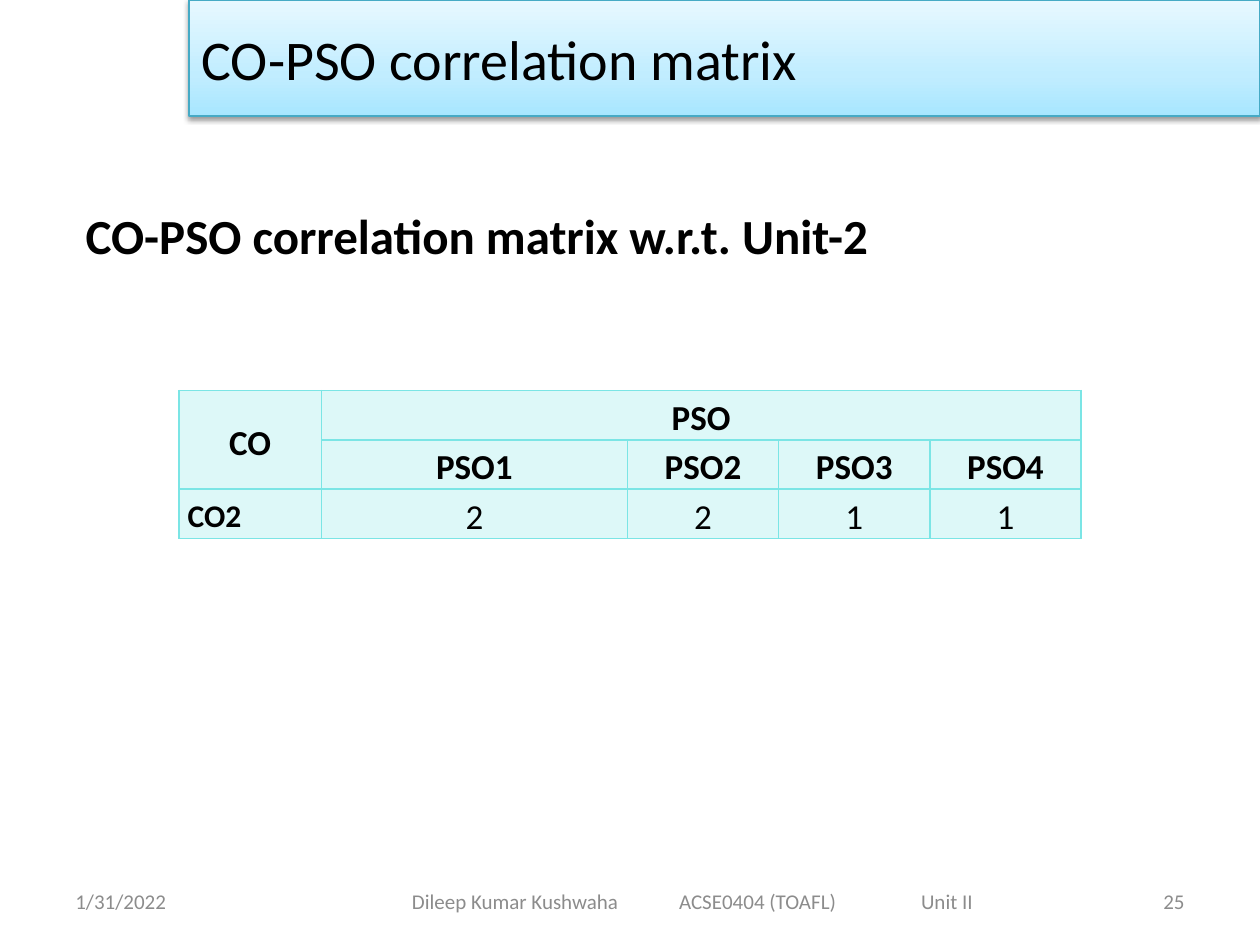
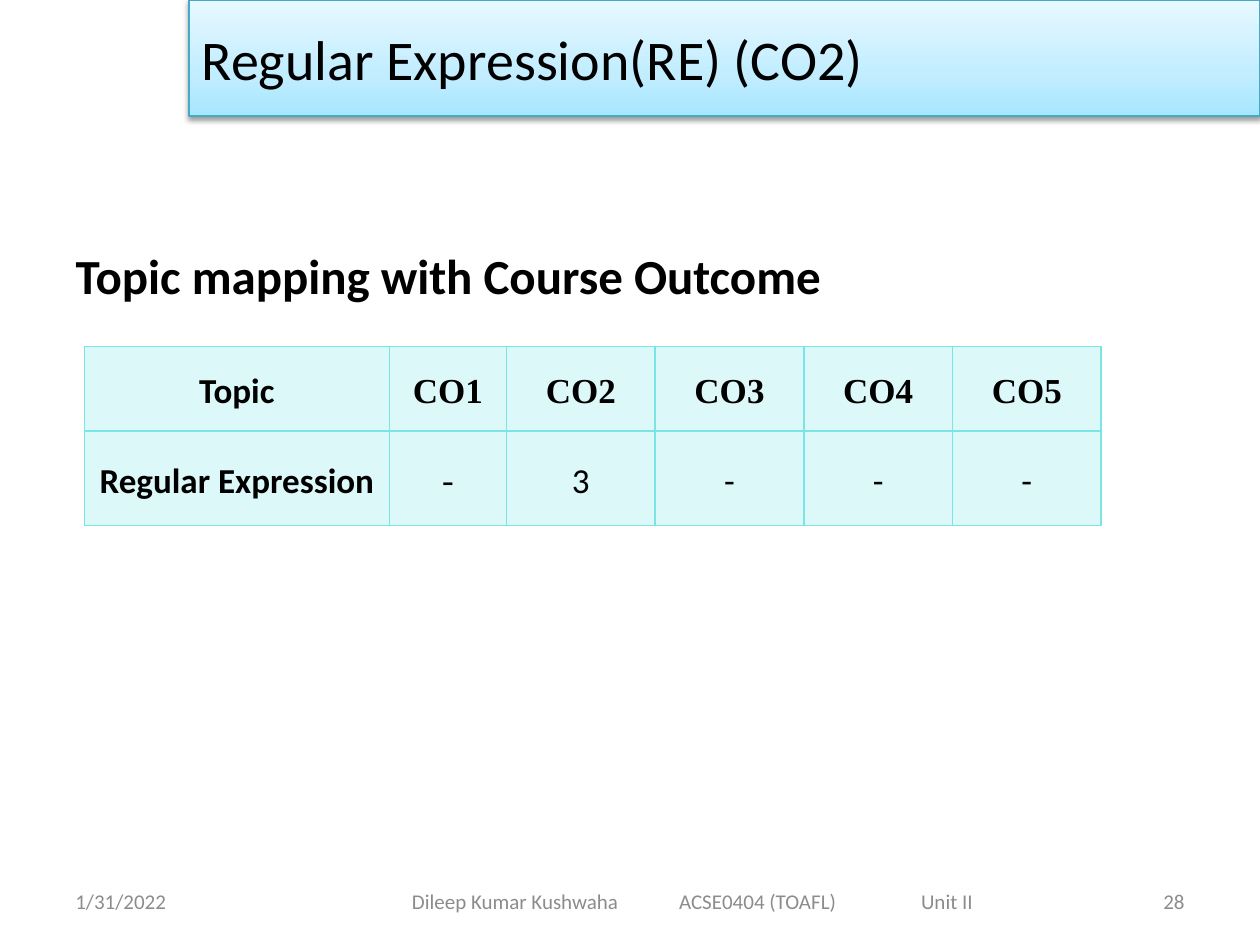
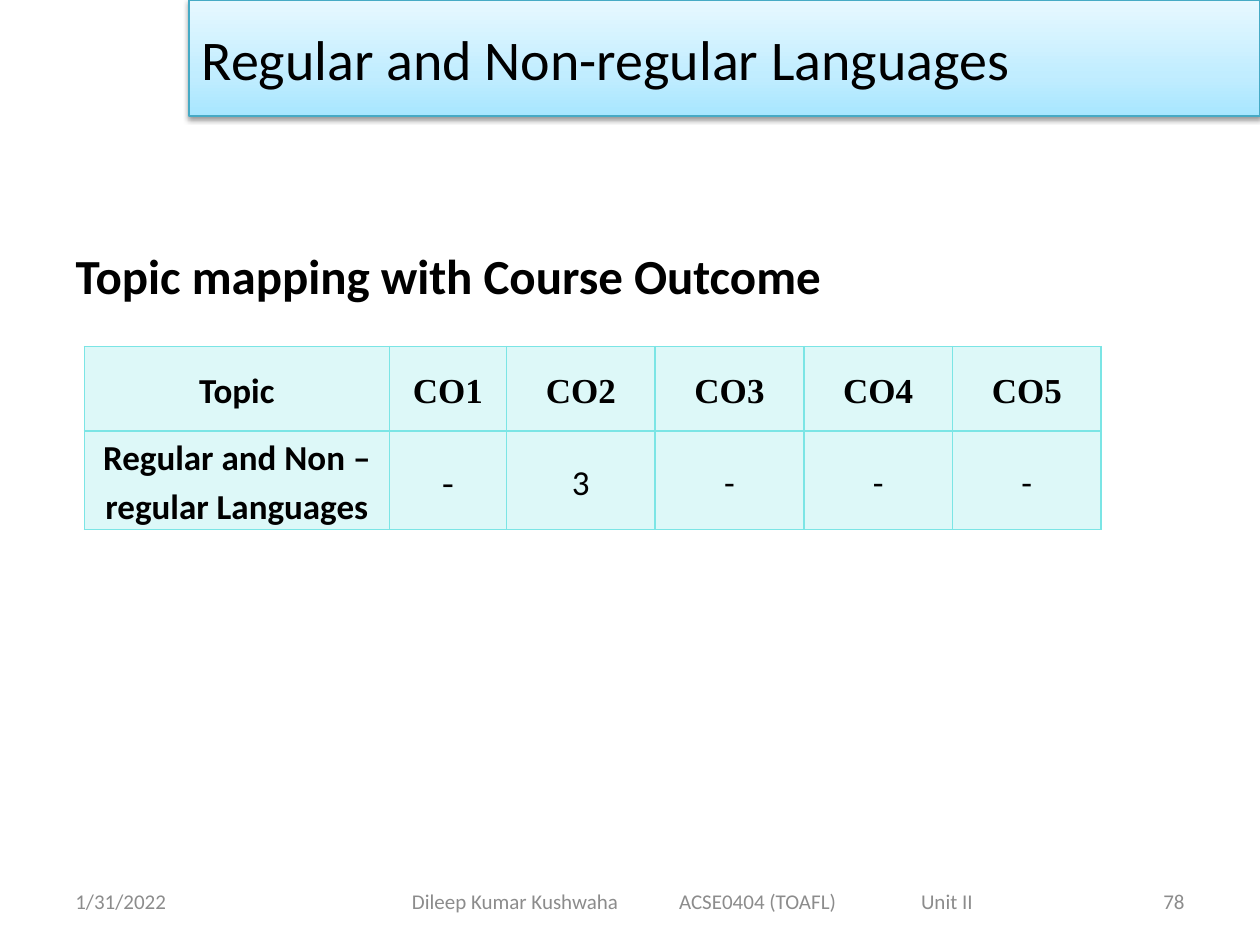
from lxml.etree import SubElement
from pptx import Presentation
from pptx.dml.color import RGBColor
from pptx.enum.text import MSO_ANCHOR as Anchor, MSO_AUTO_SIZE as AutoSize, PP_ALIGN as Align
from pptx.oxml import parse_xml
from pptx.oxml.ns import nsdecls, qn
from pptx.util import Inches, Pt

SANS, SERIF = "Calibri", "Times New Roman"
BLACK, GREY, AQUA, BAND_EDGE = "000000", "8C8C8C", "7BE5E5", "46AAC5"
BAND_STOPS = [(0, "A7E6FF"), (35, "C1EDFF"), (100, "E7F8FF")]
DATE = "1/31/2022"
COURSE = ["Dileep Kumar Kushwaha", "ACSE0404 (TOAFL)", "Unit II"]
COURSE_TABS = [2.12, 4.04]


def topic_mapping(title, page, topic):
    """Slide content for a topic that maps to the second course outcome only."""
    return {
        "title": title,
        "page": page,
        "heading": "Topic mapping with Course Outcome",
        "heading_at": (0.5, 1.9, 9, 0.57),
        "rows": [["Topic"] + [f"CO{n}" for n in range(1, 6)],
                 [topic, "-", "3", "-", "-", "-"]],
        "table_at": (0.67, 2.75),
        "widths": [2.42, 0.93] + [1.18] * 4,
        "heights": [0.67, 0.75],
        "merges": [],
        "header_rows": 1,
        "serif": [(0, col) for col in range(1, 6)] + [(1, 1)],
        "label_style": (20, Align.CENTER),
    }


SLIDES = [
    {
        "title": "CO-PSO correlation matrix",
        "page": 25,
        "heading": "CO-PSO correlation matrix w.r.t. Unit-2",
        "heading_at": (0.58, 1.58, 6.8, 0.57),
        "rows": [["CO", "PSO", "", "", ""],
                 ["", "PSO1", "PSO2", "PSO3", "PSO4"],
                 ["CO2", "2", "2", "1", "1"]],
        "table_at": (1.42, 3.1),
        "widths": [1.13, 2.43] + [1.2] * 3,
        "heights": [0.38] * 3,
        "merges": [((0, 0), (1, 0)), ((0, 1), (0, 4))],
        "header_rows": 2,
        "serif": [],
        "label_style": (18, Align.LEFT),
    },
    topic_mapping("Regular Expression(RE) (CO2)", 28, "Regular Expression"),
    topic_mapping("Regular and Non-regular Languages", 78, "Regular and Non –regular Languages"),
]


def rgb(color):
    return RGBColor.from_string(color)


def place(shape, left, top, width, height):
    shape.left, shape.top = Inches(left), Inches(top)
    shape.width, shape.height = Inches(width), Inches(height)


def style(paragraph, size, color=BLACK, bold=False, font=SANS, align=Align.LEFT):
    paragraph.alignment = align
    paragraph.font.size, paragraph.font.bold = Pt(size), bold
    paragraph.font.name = font
    paragraph.font.color.rgb = rgb(color)


def add_title_band(slide, text):
    band = slide.shapes.title
    place(band, 1.5, 0, 8.5, 0.92)
    stops = "".join(f'<a:gs pos="{pos * 1000}"><a:srgbClr val="{color}"/></a:gs>'
                    for pos, color in BAND_STOPS)
    properties = band.element.spPr
    properties.append(parse_xml(
        f'<a:gradFill {nsdecls("a")} rotWithShape="1"><a:gsLst>{stops}</a:gsLst>'
        '<a:lin ang="16200000" scaled="1"/></a:gradFill>'))
    band.line.color.rgb = rgb(BAND_EDGE)
    band.line.width = Pt(0.75)
    properties.append(parse_xml(
        f'<a:effectLst {nsdecls("a")}><a:outerShdw blurRad="{Pt(3.1)}" dist="{Pt(1.6)}" '
        'dir="5400000" rotWithShape="0"><a:srgbClr val="000000"><a:alpha val="38000"/>'
        '</a:srgbClr></a:outerShdw></a:effectLst>'))
    frame = band.text_frame
    frame.text = text
    frame.vertical_anchor = Anchor.MIDDLE
    style(frame.paragraphs[0], 32)


def add_heading(slide, text, box):
    heading = slide.placeholders[1]
    place(heading, *box)
    frame = heading.text_frame
    frame.text = text
    frame.auto_size = AutoSize.NONE
    paragraph = frame.paragraphs[0]
    paragraph.space_before = Pt(0)
    bullet_free = paragraph._p.get_or_add_pPr()
    bullet_free.set("marL", "0")
    bullet_free.set("indent", "0")
    SubElement(bullet_free, qn("a:buNone"))
    style(paragraph, 28, bold=True)


def add_footer_part(slide, text, left, width, align=Align.LEFT, inset=0.1, tabs=()):
    box = slide.shapes.add_textbox(Inches(left), Inches(6.95), Inches(width), Inches(0.4))
    frame = box.text_frame
    frame.word_wrap = True
    frame.margin_left = Inches(inset)
    frame.vertical_anchor = Anchor.MIDDLE
    frame.text = text
    paragraph = frame.paragraphs[0]
    if tabs:
        tab_list = SubElement(paragraph._p.get_or_add_pPr(), qn("a:tabLst"))
        for tab in tabs:
            SubElement(tab_list, qn("a:tab"), pos=str(Inches(tab)), algn="l")
    style(paragraph, 12, GREY, align=align)


def paint_cell(cell):
    """Give the cell a quarter-strength aqua fill and aqua borders."""
    cell.fill.solid()
    cell.fill.fore_color.rgb = rgb(AQUA)
    properties = cell._tc.get_or_add_tcPr()
    SubElement(properties.find(".//" + qn("a:srgbClr")), qn("a:alpha"), val="25000")
    for index, side in enumerate("LRTB"):
        properties.insert(index, parse_xml(
            f'<a:ln{side} {nsdecls("a")} w="{Pt(1)}"><a:solidFill>'
            f'<a:srgbClr val="{AQUA}"/></a:solidFill></a:ln{side}>'))


def add_matrix(slide, content):
    rows, widths, heights = content["rows"], content["widths"], content["heights"]
    left, top = content["table_at"]
    table = slide.shapes.add_table(len(rows), len(widths), Inches(left), Inches(top),
                                   Inches(sum(widths)), Inches(sum(heights))).table
    table.first_row = table.horz_banding = False
    for column, width in zip(table.columns, widths):
        column.width = Inches(width)
    for row, height in zip(table.rows, heights):
        row.height = Inches(height)
    for start, end in content["merges"]:
        table.cell(*start).merge(table.cell(*end))

    for r, row in enumerate(rows):
        for c, text in enumerate(row):
            cell = table.cell(r, c)
            paint_cell(cell)
            cell.margin_left = cell.margin_right = Inches(0.07)
            cell.margin_top = cell.margin_bottom = 0
            cell.vertical_anchor = Anchor.MIDDLE
            is_header = r < content["header_rows"]
            is_label = c == 0 and not is_header
            size, align = content["label_style"] if is_label else (20, Align.CENTER)
            cell.text_frame.text = text
            paragraph = cell.text_frame.paragraphs[0]
            paragraph.line_spacing = 1.15
            style(paragraph, size, bold=is_header or is_label, align=align,
                  font=SERIF if (r, c) in content["serif"] else SANS)


def main():
    deck = Presentation()
    deck.slide_width, deck.slide_height = Inches(10), Inches(7.5)
    for content in SLIDES:
        slide = deck.slides.add_slide(deck.slide_layouts[1])
        add_title_band(slide, content["title"])
        add_heading(slide, content["heading"], content["heading_at"])
        add_matrix(slide, content)
        add_footer_part(slide, DATE, 0.5, 2.33)
        add_footer_part(slide, "\t".join(COURSE), 2.75, 5.5, inset=0.52, tabs=COURSE_TABS)
        add_footer_part(slide, str(content["page"]), 7.17, 2.33, Align.RIGHT)
    deck.save("out.pptx")


if __name__ == "__main__":
    main()
